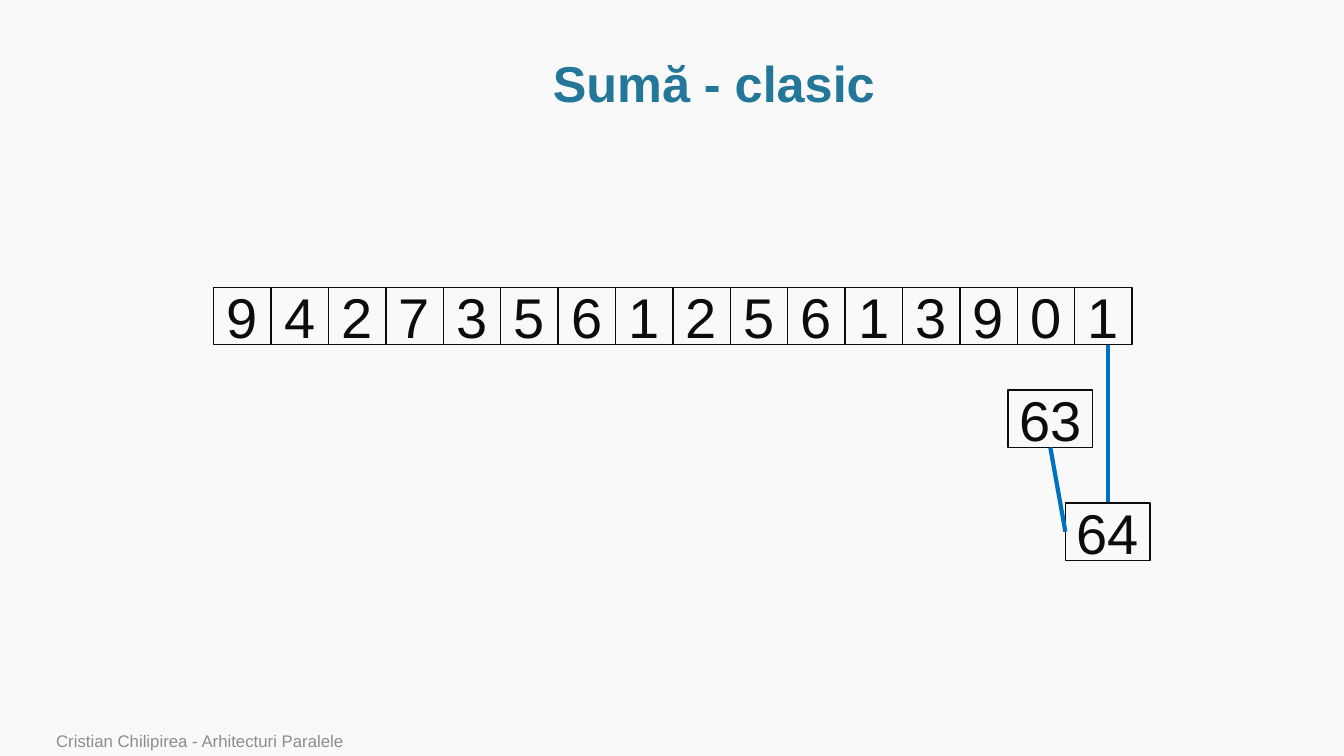
"""Build the slide showing the last step of a classic sequential sum."""
import pptx
import pptx.chart.data
import pptx.dml.color
import pptx.enum.shapes
import pptx.enum.text
import pptx.oxml
import pptx.util

Pt = pptx.util.Pt
ALIGN = pptx.enum.text.PP_ALIGN
ANCHOR = pptx.enum.text.MSO_ANCHOR

INK = "0C0C0C"
BLUE = "0070C0"
NUMBERS = "9427356125613901"
CELL = 41
ROW_LEFT, ROW_TOP = 152.64, 205.2
SUM_WIDTH = 60.5
BOTTOM, LEFT, TOP = 2, 1, 0


def color(value):
    """Turn a hex string into a colour."""
    return pptx.dml.color.RGBColor.from_string(value)


def write(shape, text, anchor, paragraph_format, font_format):
    """Write one formatted paragraph into a shape."""
    frame = shape.text_frame
    frame.word_wrap = True
    frame.vertical_anchor = anchor
    paragraph = frame.paragraphs[0]
    run = paragraph.add_run()
    run.text = text
    for name, value in paragraph_format.items():
        setattr(paragraph, name, value)
    for name, value in {"name": "Arial", **font_format}.items():
        if name == "color":
            run.font.color.rgb = color(value)
        else:
            setattr(run.font, name, value)


def add_label(slide, text, box, anchor, paragraph_format, font_format):
    """Add a text box placed by left, top, width and height."""
    shape = slide.shapes.add_textbox(*map(Pt, box))
    write(shape, text, anchor, paragraph_format, font_format)


def add_number(slide, text, left, top, width=CELL):
    """Add an outlined box holding a number."""
    shape = slide.shapes.add_shape(
        pptx.enum.shapes.MSO_SHAPE.RECTANGLE, Pt(left), Pt(top), Pt(width), Pt(CELL))
    shape.shadow.inherit = False
    shape.fill.background()
    shape.line.color.rgb = color(INK)
    shape.line.width = Pt(1)
    write(shape, text, ANCHOR.MIDDLE, {"alignment": ALIGN.CENTER},
          {"size": Pt(40), "color": INK})
    return shape


def add_link(slide, start, end):
    """Add a thick blue line between two points."""
    connector = slide.shapes.add_connector(
        pptx.enum.shapes.MSO_CONNECTOR.STRAIGHT, *map(Pt, start + end))
    connector.line.color.rgb = color(BLUE)
    connector.line.width = Pt(3)
    properties = connector._element.spPr
    properties.append(pptx.oxml.parse_xml(
        '<a:effectLst xmlns:a="http://schemas.openxmlformats.org/drawingml/2006/main"/>'))
    return connector


def main():
    """Build and save the presentation."""
    presentation = pptx.Presentation()
    presentation.slide_width, presentation.slide_height = Pt(960), Pt(540)
    slide = presentation.slides.add_slide(presentation.slide_layouts[6])
    slide.background.fill.solid()
    slide.background.fill.fore_color.rgb = color("F9F9F9")

    add_label(slide, "Cristian Chilipirea - Arhitecturi Paralele", (33, 520, 707, 20),
              ANCHOR.BOTTOM, {}, {"size": Pt(12), "color": "8C8C8C"})
    add_label(slide, "Sumă - clasic", (82, 36.5, 856, 50), ANCHOR.MIDDLE,
              {"alignment": ALIGN.CENTER, "line_spacing": 0.9},
              {"size": Pt(36), "bold": True, "color": "247798"})

    for index, number in enumerate(NUMBERS):
        add_number(slide, number, ROW_LEFT + index * CELL, ROW_TOP)

    sum_left, sum_top = 720, 278.64
    total_left, total_top = sum_left + CELL, 359.28
    total_middle = total_left + SUM_WIDTH / 2
    partial_sum = add_number(slide, "63", sum_left, sum_top, SUM_WIDTH)
    last_link = add_link(slide, (total_middle, ROW_TOP + CELL), (total_middle, total_top))
    total = add_number(slide, "64", total_left, total_top, SUM_WIDTH)
    last_link.end_connect(total, TOP)
    sum_link = add_link(slide, (sum_left + SUM_WIDTH / 2, sum_top + CELL),
                        (total_left, total_top + CELL / 2))
    sum_link.begin_connect(partial_sum, BOTTOM)
    sum_link.end_connect(total, LEFT)

    presentation.save("out.pptx")


if __name__ == "__main__":
    main()
